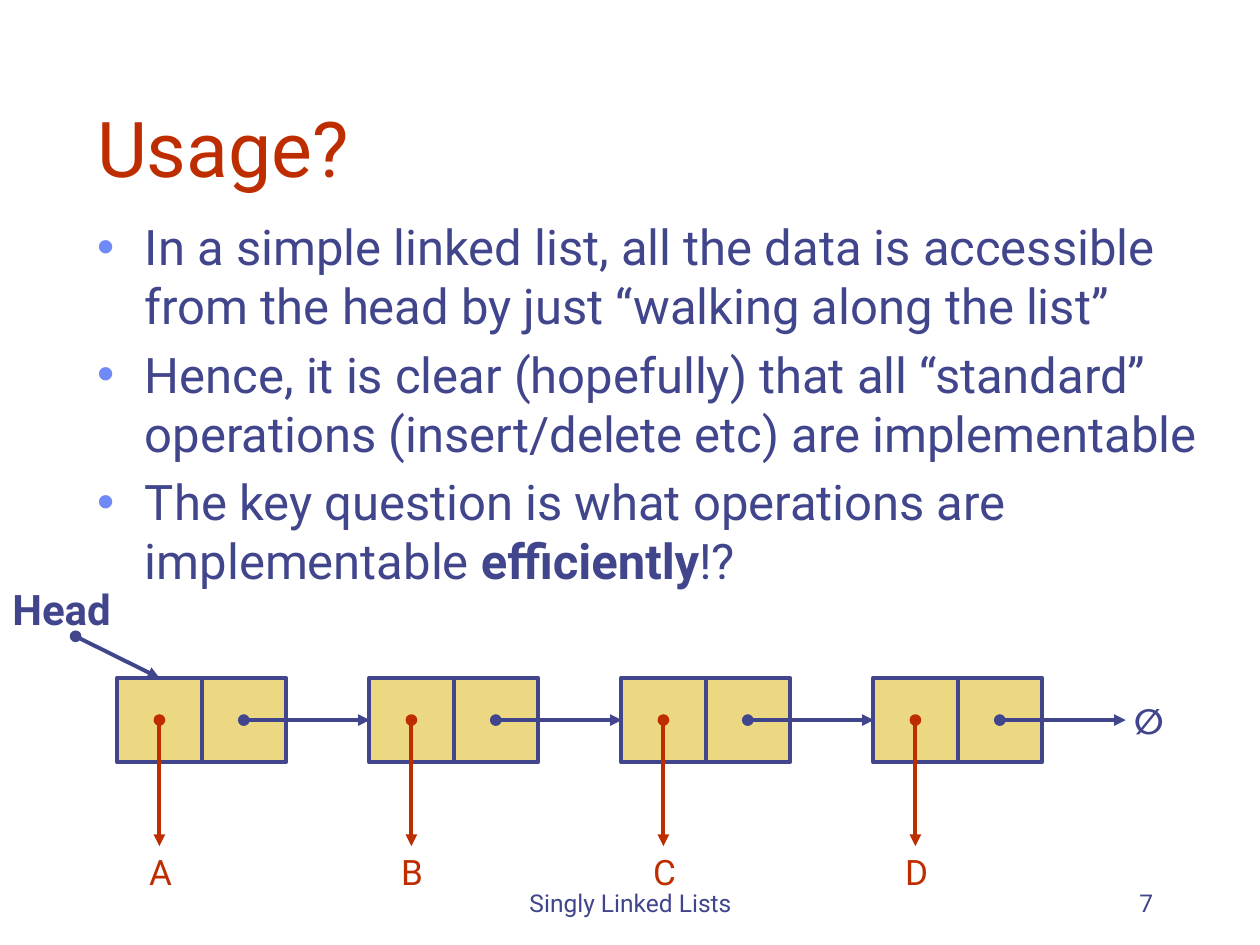
"""Build a slide about using a singly linked list, with a node diagram."""
from dataclasses import dataclass

from lxml import etree
from pptx import Presentation
from pptx import util as u
from pptx.dml.color import RGBColor
from pptx.enum import shapes, text
from pptx.oxml import ns

FONT = "Roboto"
NAVY, RED, GOLD, BLUE, WHITE = "40458C", "BE2D00", "ECD882", "6F89F7", "FFFFFF"
CELL = 0.67
STEP = 2
TOP = 5.38
MIDDLE = TOP + CELL / 2
LEFT, CENTER, RIGHT = text.PP_ALIGN.LEFT, text.PP_ALIGN.CENTER, text.PP_ALIGN.RIGHT
ANCHOR_TOP, ANCHOR_BOTTOM = text.MSO_ANCHOR.TOP, text.MSO_ANCHOR.BOTTOM


@dataclass
class Label:
    text: str
    left: float
    top: float
    width: float
    height: float
    size: int = 20
    color: str = RED
    align: int = CENTER
    bold: bool = False
    wrap: bool = False
    anchor: int = ANCHOR_TOP


@dataclass
class Node:
    value: str
    left: float

    @property
    def data_x(self) -> float:
        return self.left + CELL / 2

    @property
    def next_x(self) -> float:
        return self.left + CELL * 1.5


def rgb(color: str) -> RGBColor:
    return RGBColor.from_string(color)


def add_xml(parent, tag: str, **attributes: str):
    return etree.SubElement(parent, ns.qn(tag), attributes)


def style(p, size: int, color: str, bold: bool = False) -> None:
    p.font.name = FONT
    p.font.size = u.Pt(size)
    p.font.bold = bold
    p.font.color.rgb = rgb(color)


def place(sp, left: float, top: float, width: float, height: float) -> None:
    sp.left, sp.top = u.Inches(left), u.Inches(top)
    sp.width, sp.height = u.Inches(width), u.Inches(height)


def add_label(s, label: Label) -> None:
    sp = s.shapes.add_textbox(0, 0, 0, 0)
    place(sp, label.left, label.top, label.width, label.height)
    tf = sp.text_frame
    tf.word_wrap = label.wrap
    tf.vertical_anchor = label.anchor
    p = tf.paragraphs[0]
    p.text = label.text
    p.alignment = label.align
    style(p, label.size, label.color, label.bold)


def add_title(s, title: str) -> None:
    sp = s.shapes.title
    place(sp, 0.67, 0.33, 8.5, 1.25)
    tf = sp.text_frame
    tf.auto_size = text.MSO_AUTO_SIZE.NONE
    tf.vertical_anchor = ANCHOR_BOTTOM
    p = tf.paragraphs[0]
    p.text = title
    p.alignment = LEFT
    style(p, 44, RED)


def add_bullets(s, bullets: list[list[tuple[str, bool]]]) -> None:
    sp = s.placeholders[1]
    place(sp, 0.67, 1.67, 9, 3.33)
    tf = sp.text_frame
    tf.auto_size = text.MSO_AUTO_SIZE.NONE
    for index, parts in enumerate(bullets):
        p = tf.add_paragraph() if index else tf.paragraphs[0]
        pPr = p._p.get_or_add_pPr()
        pPr.set("marL", str(u.Inches(0.38)))
        pPr.set("indent", str(u.Inches(-0.38)))
        add_xml(add_xml(pPr, "a:spcBef"), "a:spcPct", val="20000")
        add_xml(add_xml(pPr, "a:buClr"), "a:srgbClr", val=BLUE)
        add_xml(pPr, "a:buChar", char="•")
        style(p, 28, NAVY)
        for words, bold in parts:
            r = p.add_run()
            r.text = words
            if bold:
                r.font.bold = True


def add_cell(s, left: float) -> None:
    sp = s.shapes.add_shape(shapes.MSO_SHAPE.RECTANGLE, 0, 0, 0, 0)
    place(sp, left, TOP, CELL, CELL)
    sp.shadow.inherit = False
    sp.fill.solid()
    sp.fill.fore_color.rgb = rgb(GOLD)
    sp.line.color.rgb = rgb(NAVY)
    sp.line.width = u.Pt(2.25)


def add_pointer(s, start: tuple[float, float], end: tuple[float, float], color: str) -> None:
    points = [u.Inches(value) for value in start + end]
    sp = s.shapes.add_connector(shapes.MSO_CONNECTOR.STRAIGHT, *points)
    sp.line.color.rgb = rgb(color)
    sp.line.width = u.Pt(2.25)
    ln = sp.line._get_or_add_ln()
    add_xml(ln, "a:headEnd", type="oval")
    add_xml(ln, "a:tailEnd", type="triangle")
    add_xml(sp._element.spPr, "a:effectLst")


def add_node(s, node: Node) -> None:
    add_cell(s, node.left)
    add_cell(s, node.left + CELL)
    add_pointer(s, (node.data_x, MIDDLE), (node.data_x, MIDDLE + 1), RED)
    add_pointer(s, (node.next_x, MIDDLE), (node.next_x + 1, MIDDLE), NAVY)
    add_label(s, Label(node.value, node.data_x - 0.18, 6.7, 0.37, 0.43))


def main() -> None:
    prs = Presentation()
    prs.slide_width, prs.slide_height = u.Inches(10), u.Inches(7.5)
    s = prs.slides.add_slide(prs.slide_layouts[1])
    s.background.fill.solid()
    s.background.fill.fore_color.rgb = rgb(WHITE)

    add_title(s, "Usage?")
    add_bullets(s, [
        [("In a simple linked list, all the data is accessible from the head "
          "by just “walking along the list”", False)],
        [("Hence, it is clear (hopefully) that all “standard” operations "
          "(insert/delete etc) are implementable", False)],
        [("The key question is what operations are implementable ", False),
         ("efficiently", True), ("!?", False)],
    ])

    nodes = [Node(value, 0.93 + STEP * i) for i, value in enumerate("ABCD")]
    for node in nodes:
        add_node(s, node)
    add_pointer(s, (0.6, 5.05), (nodes[0].data_x, TOP), NAVY)

    for label in (
        Label("Head", 0, 4.58, 1.06, 0.5, 24, NAVY, LEFT, bold=True),
        Label("∅", 8.9, 5.5, 0.43, 0.43, 20, NAVY, bold=True),
        Label("Singly Linked Lists", 3.42, 6.83, 3.17, 0.5, 14, NAVY,
              wrap=True, anchor=ANCHOR_BOTTOM),
        Label("7", 7.17, 6.83, 2.08, 0.5, 14, NAVY, RIGHT,
              wrap=True, anchor=ANCHOR_BOTTOM),
    ):
        add_label(s, label)
    prs.save("out.pptx")


if __name__ == "__main__":
    main()
